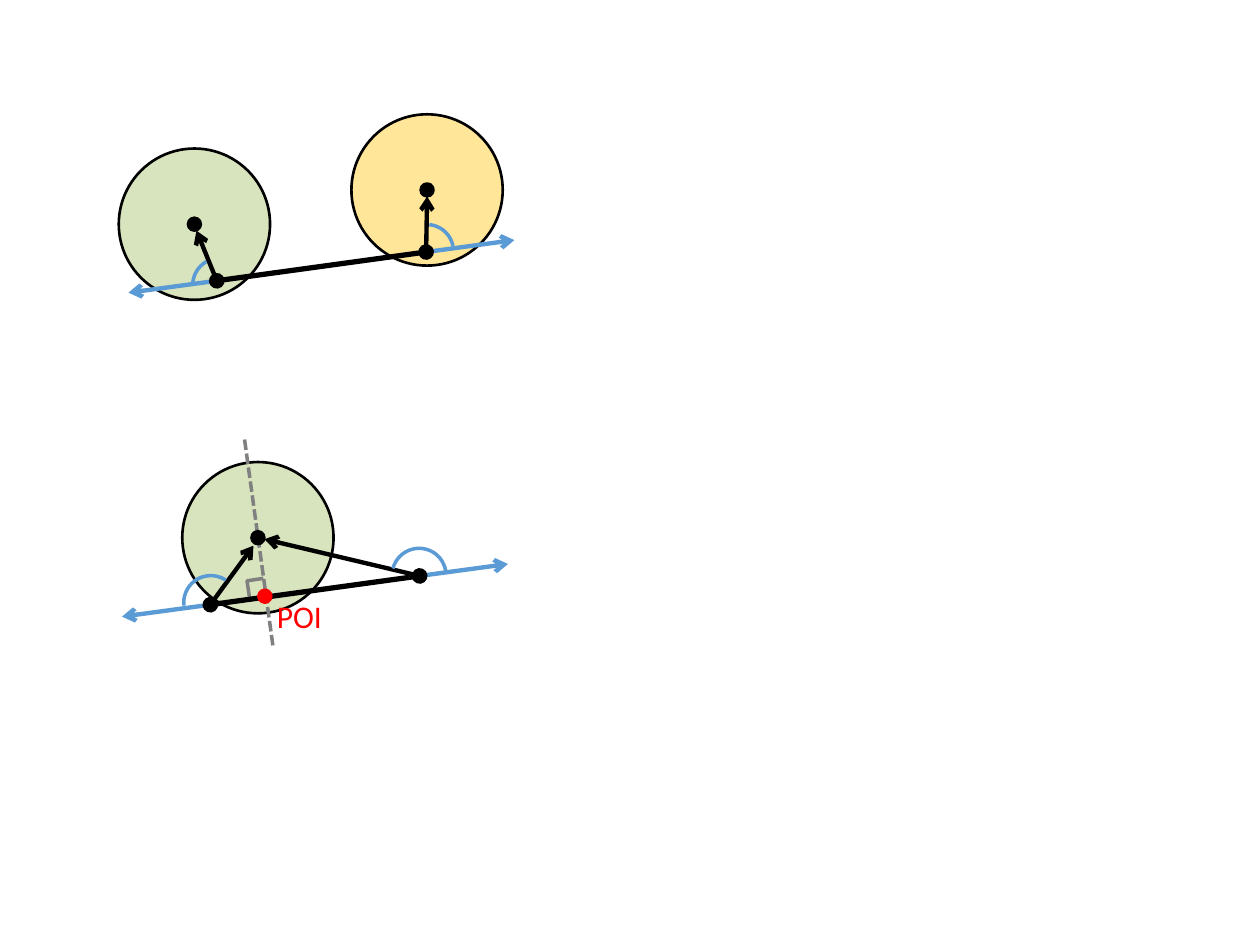
from lxml.etree import SubElement
from pptx import Presentation
from pptx.dml.color import RGBColor
from pptx.enum.dml import MSO_LINE
from pptx.enum.shapes import MSO_CONNECTOR, MSO_SHAPE
from pptx.oxml.ns import qn
from pptx.util import Cm, Pt

THEME = {
    "black": "000000", "blue": "5B9BD5", "gray": "808080", "red": "FF0000",
    "green": "D7E4BD", "yellow": "FFE699",
    "font": {"name": "Calibri", "size": Pt(18)},
    "circle": 1.5, "dot": 1.75, "mark": 2, "arm": 2.5, "vector": 2.5, "bar": 3,
}

# Content: all coordinates are centimetres, angles are degrees
CIRCLE_SIZE, DOT_SIZE, ARC_SIZE = 3.05, 0.25, 1.09
ARM = (1.78, -0.24)  # from the right node; mirrored at the left node
FIGURES = [
    {   # two circles, one at each end of the bar
        "circles": [((8.61, 3.83), "yellow"), ((3.92, 4.52), "green")],
        "nodes": [(4.37, 5.66), (8.59, 5.08)],
        "tips": [(3.96, 4.65), (8.61, 3.96)],
        "arcs": [((4.43, 5.75), 179.5, 240.5), ((8.60, 5.07), 276, 348.4)],
    },
    {   # one shared circle
        "circles": [((5.20, 10.84), "green")],
        "nodes": [(4.24, 12.19), (8.46, 11.61)],
        "tips": [(5.11, 11.00), (5.33, 10.87)],
        "arcs": [((4.25, 12.15), 173.6, 303.8), ((8.45, 11.60), 194.6, 353.2)],
        "perpendicular": [(4.93, 8.86), (5.51, 13.08)],
        "right_angle": [(5.03, 12.04), (4.98, 11.71), (5.31, 11.66)],
        "poi": (5.34, 12.02),
        "label": ("POI", (5.33, 11.91, 1.65, 1.02)),
    },
]

presentation = Presentation()
presentation.slide_width, presentation.slide_height = Cm(25.4), Cm(19.05)
slide = presentation.slides.add_slide(presentation.slide_layouts[6])
shapes = slide.shapes


def style_line(shape, color, width):
    shape.line.color.rgb = RGBColor.from_string(THEME[color])
    shape.line.width = Pt(width)


def add_centered(kind, center, size, line, width, fill=None):
    left, top = (Cm(value - size / 2) for value in center)
    shape = shapes.add_shape(kind, left, top, Cm(size), Cm(size))
    shape.shadow.inherit = False
    style_line(shape, line, width)
    if fill:
        shape.fill.solid()
        shape.fill.fore_color.rgb = RGBColor.from_string(THEME[fill])
    else:
        shape.fill.background()
    return shape


def add_dot(center, color):
    add_centered(MSO_SHAPE.OVAL, center, DOT_SIZE, color, THEME["dot"], color)


def add_line(start, end, color, width, head=None, tail=None):
    points = [Cm(value) for value in (*start, *end)]
    connector = shapes.add_connector(MSO_CONNECTOR.STRAIGHT, *points)
    style_line(connector, color, width)
    properties = connector.line._get_or_add_ln()
    for tag, kind in (("a:headEnd", head), ("a:tailEnd", tail)):
        if kind:
            SubElement(properties, qn(tag), type=kind)
    SubElement(connector._element.spPr, qn("a:effectLst"))
    return connector


def add_right_angle(points):
    corners = [(Cm(x), Cm(y)) for x, y in points]
    builder = shapes.build_freeform(*corners[0])
    builder.add_line_segments(corners[1:], close=False)
    shape = builder.convert_to_shape()
    shape.shadow.inherit = False
    shape.fill.background()
    style_line(shape, "gray", THEME["mark"])


def add_label(text, box):
    frame = shapes.add_textbox(*(Cm(value) for value in box)).text_frame
    frame.word_wrap = True
    run = frame.paragraphs[0].add_run()
    run.text = text
    for attribute, value in THEME["font"].items():
        setattr(run.font, attribute, value)
    run.font.color.rgb = RGBColor.from_string(THEME["red"])


for figure in FIGURES:
    # Circles
    for center, fill in figure["circles"]:
        add_centered(MSO_SHAPE.OVAL, center, CIRCLE_SIZE, "black", THEME["circle"], fill)

    # Outward arms and vectors towards the circle centres
    for node, tip, side in zip(figure["nodes"], figure["tips"], (-1, 1)):
        arm_tip = [value + side * step for value, step in zip(node, ARM)]
        add_line(node, arm_tip, "blue", THEME["arm"], tail="arrow")
        add_line(tip, node, "black", THEME["vector"], head="arrow")

    # Perpendicular with its right-angle mark and label
    if "poi" in figure:
        dashed = add_line(*figure["perpendicular"], "gray", THEME["mark"])
        dashed.line.dash_style = MSO_LINE.SQUARE_DOT
        add_label(*figure["label"])
        add_right_angle(figure["right_angle"])

    # Centre dots, bar between the nodes, point of intersection
    for center, _ in figure["circles"]:
        add_dot(center, "black")
    add_line(*figure["nodes"], "black", THEME["bar"], head="oval", tail="oval")
    if "poi" in figure:
        add_dot(figure["poi"], "red")

    # Angle arcs: an adjustment of 0.6 is one degree
    for center, *angles in figure["arcs"]:
        arc = add_centered(MSO_SHAPE.ARC, center, ARC_SIZE, "blue", THEME["mark"])
        for index, angle in enumerate(angles):
            arc.adjustments[index] = angle * 0.6

presentation.save("out.pptx")
